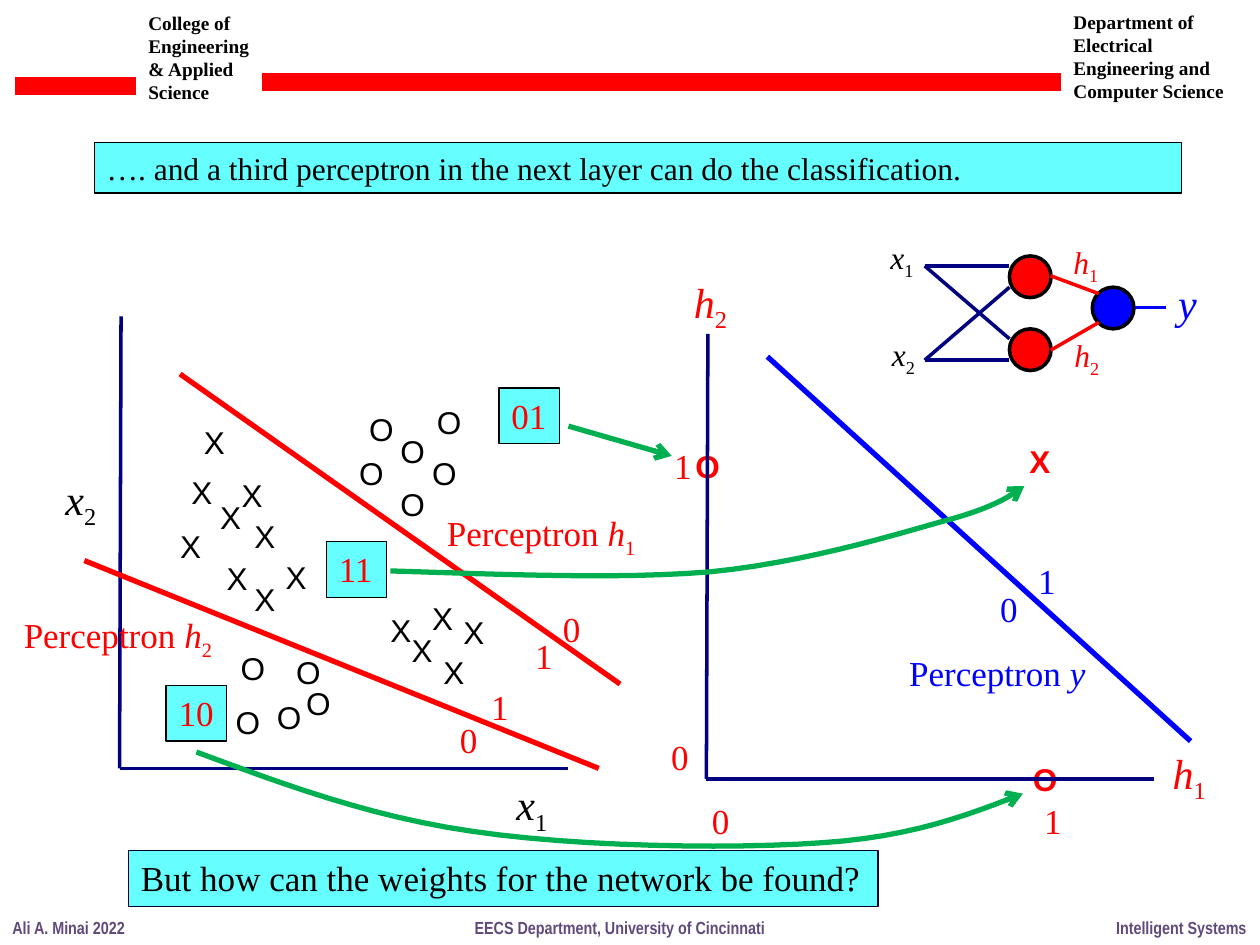
from dataclasses import dataclass

from lxml.etree import SubElement
from pptx import Presentation
from pptx.dml.color import RGBColor as RGB
from pptx.enum.shapes import MSO_CONNECTOR as CONNECTOR, MSO_SHAPE as SHAPE
from pptx.oxml.ns import qn
from pptx.util import Cm, Pt


@dataclass(frozen=True)
class Theme:
    black: str = "000000"
    red: str = "FF0000"
    blue: str = "0000FF"
    navy: str = "000080"
    green: str = "00B050"
    cyan: str = "66FFFF"
    purple: str = "604A7B"
    ink: str = "000036"
    serif: str = "Times New Roman"
    sans: str = "Arial"
    narrow: str = "Arial Narrow"
    footer: int = 10
    header: int = 11
    body: int = 18
    label: int = 20
    axis: int = 24
    hairline: float = 0.75
    thin: int = 2
    thick: int = 3
    bar: int = 10


theme = Theme()
deck = Presentation()
deck.slide_width, deck.slide_height = Cm(25.4), Cm(19.05)
slide = deck.slides.add_slide(deck.slide_layouts[6])
shapes = slide.shapes


def write(text, *, at, size, italic="", sub="", color=theme.black, font=theme.serif,
          points=theme.label, bold=False, wrap=False, fill=None, border=theme.black):
    box = shapes.add_textbox(*map(Cm, at + size))
    box.text_frame.word_wrap = wrap
    if fill:
        box.fill.solid()
        box.fill.fore_color.rgb = RGB.from_string(fill)
        box.line.color.rgb = RGB.from_string(border)
        box.line.width = Pt(theme.hairline)
    for index, content in enumerate(text.split("\n")):
        paragraph = box.text_frame.paragraphs[0] if index == 0 else box.text_frame.add_paragraph()
        for part, slanted, lowered in ((content, False, False), (italic, True, False), (sub, False, True)):
            if part:
                run = paragraph.add_run()
                run.text = part
                run.font.name, run.font.size = font, Pt(points)
                run.font.bold, run.font.italic = bold, slanted
                run.font.color.rgb = RGB.from_string(color)
                if lowered:
                    run.font._element.set("baseline", "-25000")


def outline(shape, color, width, arrow=False):
    shape.line.color.rgb = RGB.from_string(color)
    shape.line.width = Pt(width)
    properties = shape._element.spPr
    if arrow:
        SubElement(properties.get_or_add_ln(), qn("a:tailEnd"), type="arrow")
    SubElement(properties, qn("a:effectLst"))


for text, at, size in (
    ("College of Engineering & Applied\nScience", (2.74, 0.1), (2.77, 2.13)),
    ("Department of Electrical Engineering and Computer Science", (21.39, 0.08), (3.73, 2.13)),
):
    write(text, at=at, size=size, points=theme.header, bold=True, wrap=True)

for text, left, width in (
    ("Ali A. Minai 2022", 0, 2.79),
    ("EECS Department, University of Cincinnati", 9.32, 6.4),
    ("Intelligent Systems", 22.25, 3.15),
):
    write(text, at=(left, 18.36), size=(width, 0.69), color=theme.purple,
          font=theme.narrow, points=theme.footer, bold=True)

write("…. and a third perceptron in the next layer can do the classification.",
      at=(1.9, 2.87), size=(21.92, 1.02), points=theme.body, wrap=True, fill=theme.cyan)

samples = {
    "X": (0.97, [(3.86, 8.41), (4.19, 9.91), (4.62, 9.47), (5.51, 11.13), (4.88, 10.29),
                 (3.61, 9.42), (4.88, 11.56), (4.32, 11.15), (3.38, 10.49), (7.62, 12.19),
                 (8.05, 12.6), (8.46, 11.96), (8.69, 13.03), (9.09, 12.24)], [(20.5, 8.79)]),
    "O": (1.02, [(7.19, 8.15), (7.82, 9.65), (5.72, 13.03), (8.56, 8), (7.82, 8.59),
                 (5.33, 13.94), (5.92, 13.67), (8.46, 9.02), (6.99, 9.02), (4.6, 12.95),
                 (4.5, 14.05)], [(13.77, 8.89), (20.57, 15.19)]),
}
for mark, (width, inputs, mapped) in samples.items():
    for at in inputs:
        write(mark, at=at, size=(width, 1.02), font=theme.sans, points=theme.body)
    for at in mapped:
        write(mark, at=at, size=(width, 1.02), font=theme.sans, points=theme.body,
              color=theme.red, bold=True)

for left, top, color in ((20.35, 5.16, theme.red), (20.35, 6.63, theme.red), (22.02, 5.79, theme.blue)):
    neuron = shapes.add_shape(SHAPE.OVAL, Cm(left), Cm(top), Cm(0.84), Cm(0.84))
    neuron.fill.solid()
    neuron.fill.fore_color.rgb = RGB.from_string(color)
    outline(neuron, theme.black, theme.thin)

strokes = (
    (theme.red, theme.bar, [(0.3, 1.73, 2.74, 1.73), (5.28, 1.65, 21.39, 1.65)]),
    (theme.navy, theme.thin, [
        (2.44, 6.38, 2.41, 15.49), (2.41, 15.49, 11.46, 15.49),
        (14.27, 6.73, 14.24, 15.7), (14.24, 15.7, 23.27, 15.7),
        (20.35, 5.36, 18.64, 5.36), (20.35, 7.26, 18.64, 7.26),
        (20.35, 5.79, 18.64, 7.26), (20.35, 6.83, 18.64, 5.36)]),
    (theme.red, theme.thick, [(3.63, 7.54, 12.5, 13.79), (1.7, 11.3, 12.07, 15.49)]),
    (theme.blue, theme.thick, [(15.47, 7.19, 24, 14.94)]),
    (theme.red, theme.thin, [(22.15, 5.92, 21.18, 5.56), (22.15, 6.5, 21.18, 7.06)]),
    (theme.blue, theme.thin, [(23.5, 6.2, 22.89, 6.2)]),
    (theme.green, theme.thick, [(11.46, 8.59, 13.54, 9.19)]),
)
for color, width, segments in strokes:
    for ends in segments:
        segment = shapes.add_connector(CONNECTOR.STRAIGHT, *map(Cm, ends))
        outline(segment, color, width, arrow=color == theme.green)

for italic, sub, at, color in (
    ("x", "1", (10.16, 15.57), theme.black),
    ("x", "2", (1.07, 9.42), theme.black),
    ("h", "1", (23.39, 14.94), theme.red),
    ("h", "2", (13.74, 5.44), theme.red),
):
    write("", italic=italic, sub=sub, at=at, size=(1.2, 1.27), color=color, points=theme.axis)
write("", italic="y", at=(23.5, 5.46), size=(0.66, 1.27), color=theme.blue, points=theme.axis)

for italic, sub, at, color in (
    ("x", "1", (17.7, 4.67), theme.black),
    ("x", "2", (17.73, 6.63), theme.black),
    ("h", "1", (21.39, 4.78), theme.red),
    ("h", "2", (21.41, 6.65), theme.red),
):
    write("", italic=italic, sub=sub, at=at, size=(1.22, 1.02), color=color,
          points=theme.body, wrap=True)

for italic, sub, at, width, color in (
    ("h", "1", (8.76, 10.19), 4.5, theme.red),
    ("h", "2", (0.23, 12.24), 4.5, theme.red),
    ("y", "", (18.08, 13), 4.09, theme.blue),
):
    write("Perceptron ", italic=italic, sub=sub, at=at, size=(width, 1.12), color=color)

for code, at in (("01", (10.06, 7.82)), ("10", (3.35, 13.82)), ("11", (6.58, 10.92))):
    write(code, at=at, size=(1.22, 1.12), color=theme.red, fill=theme.cyan)

for digit, color, places in (
    ("0", theme.red, [(11.1, 12.12), (9.02, 14.35), (14.1, 16), (13.28, 14.71)]),
    ("1", theme.red, [(10.54, 12.67), (9.65, 13.69), (20.8, 16), (13.34, 8.84)]),
    ("0", theme.blue, [(19.91, 11.71)]),
    ("1", theme.blue, [(20.68, 11.15)]),
):
    for at in places:
        write(digit, at=at, size=(0.86, 1.12), color=color)

write("But how can the weights for the network be found?", at=(2.59, 17.15),
      size=(15.11, 1.12), fill=theme.cyan, border=theme.ink)

mappings = (
    [(3.96, 15.16), (5.69, 15.8), (7.44, 16.46), (9.53, 16.76), (11.63, 17.07),
     (14.71, 17.12), (16.56, 16.99), (18.39, 16.87), (19.51, 16.43), (20.62, 16)],
    [(7.87, 11.51), (10.16, 11.58), (12.45, 11.68), (14.3, 11.53), (16.15, 11.35),
     (17.91, 10.82), (18.97, 10.52), (20.04, 10.24), (20.35, 10.01), (20.65, 9.8)],
)
steps = 12
for controls in mappings:
    curve = []
    for first in range(0, len(controls) - 1, 3):
        for step in range(1, steps + 1):
            t = step / steps
            weights = ((1 - t) ** 3, 3 * t * (1 - t) ** 2, 3 * t ** 2 * (1 - t), t ** 3)
            curve.append([Cm(sum(w * p[axis] for w, p in zip(weights, controls[first:first + 4])))
                          for axis in (0, 1)])
    builder = shapes.build_freeform(*map(Cm, controls[0]))
    builder.add_line_segments(curve, close=False)
    mapping = builder.convert_to_shape()
    mapping.fill.background()
    outline(mapping, theme.green, theme.thick, arrow=True)

deck.save("out.pptx")
